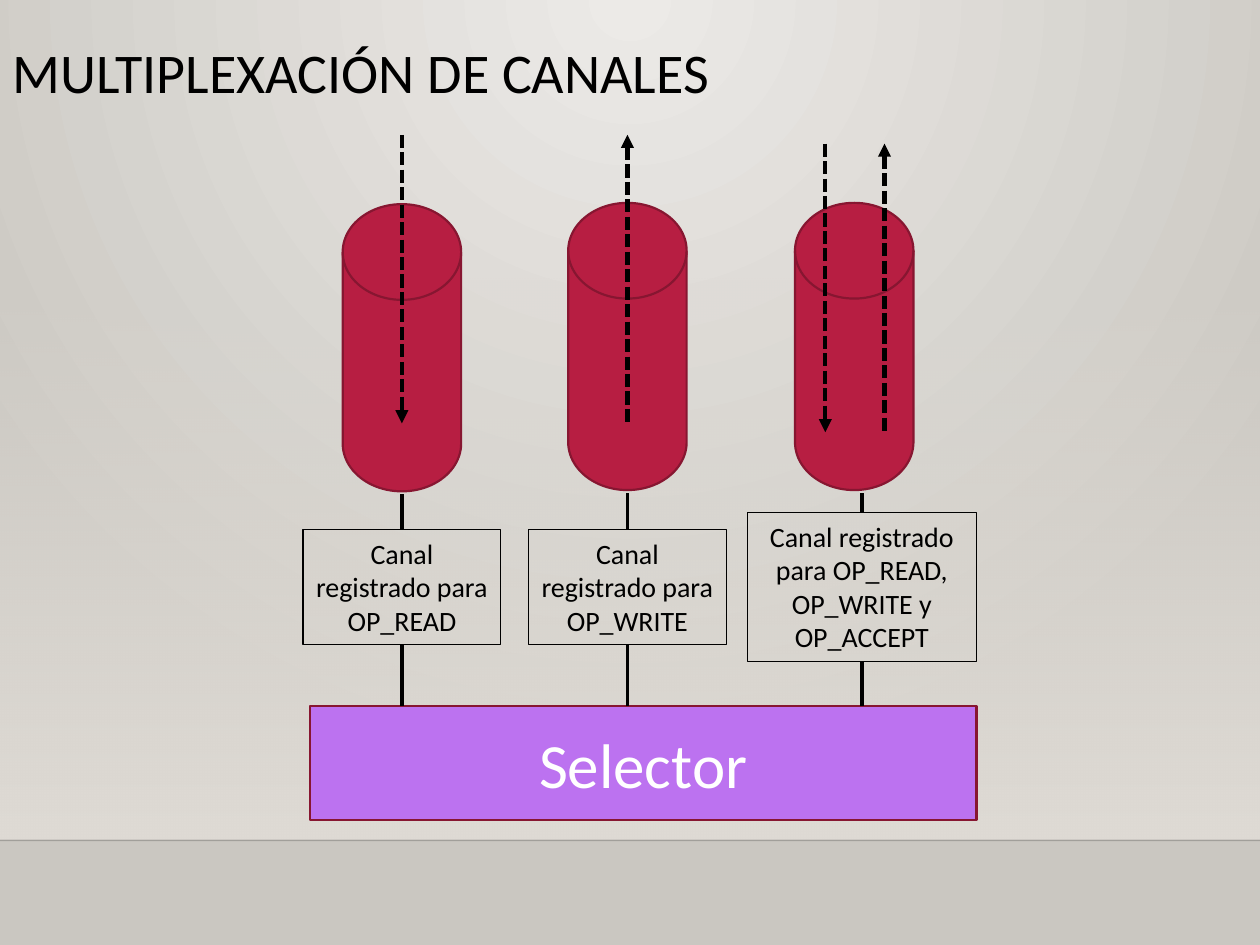
import pptx
import pptx.util
import pptx.dml.color
import pptx.enum.dml
import pptx.enum.shapes
import pptx.enum.text
import pptx.oxml
import pptx.oxml.ns
import pptx.oxml.xmlchemy

# Content
TITLE = "MULTIPLEXACIÓN DE CANALES"
SELECTOR = "Selector"
# cylinder centre and top, label centre and size, arrow top,
# arrows as (offset from the cylinder centre, end that carries the head)
CHANNELS = [
    dict(text="Canal registrado para OP_READ", centre=3.19, top=1.62,
         label=(3.19, 1.57, 0.91), arrow_top=1.07, arrows=[(0, "tailEnd")]),
    dict(text="Canal registrado para OP_WRITE", centre=4.98, top=1.61,
         label=(4.98, 1.57, 0.91), arrow_top=1.07, arrows=[(0, "headEnd")]),
    dict(text="Canal registrado para OP_READ, OP_WRITE y OP_ACCEPT", centre=6.78,
         top=1.61, label=(6.84, 1.82, 1.18), arrow_top=1.14,
         arrows=[(-0.23, "tailEnd"), (0.24, "headEnd")]),
]

# Layout, in inches
WIDTH, HEIGHT = 10, 7.5
FLOOR = 6.67
CYLINDER = (0.94, 2.28)
ARROW_LENGTH = 2.29
LABEL_MIDDLE = 4.66
SELECTOR_BOX = (2.46, 5.6, 5.29, 0.91)

BLACK, WHITE, RED, DARK_RED, PURPLE = "000000", "FFFFFF", "B71E42", "871631", "BC72F0"
SHAPES = pptx.enum.shapes.MSO_SHAPE
inches = pptx.util.Inches
qn = pptx.oxml.ns.qn
new_element = pptx.oxml.xmlchemy.OxmlElement

deck = pptx.Presentation()
deck.slide_width, deck.slide_height = inches(WIDTH), inches(HEIGHT)
page = deck.slides.add_slide(deck.slide_layouts[6])


def color(value):
    return pptx.dml.color.RGBColor.from_string(value)


def set_gradient(parent, stops, shade):
    """Replace the solid fill of parent with (position, colour, opacity) stops."""
    stop_xml = "".join(
        f'<a:gs pos="{position * 1000}"><a:srgbClr val="{value}">'
        f'<a:alpha val="{opacity * 1000}"/></a:srgbClr></a:gs>'
        for position, value, opacity in stops)
    gradient = pptx.oxml.parse_xml(
        f'<a:gradFill {pptx.oxml.ns.nsdecls("a")} rotWithShape="1">'
        f'<a:gsLst>{stop_xml}</a:gsLst>{shade}</a:gradFill>')
    parent.replace(parent.find(qn("a:solidFill")), gradient)


def add_box(kind, left, top, width, height, fill=None, line=None, weight=1.25):
    box = page.shapes.add_shape(kind, *map(inches, (left, top, width, height)))
    box.shadow.inherit = False
    if fill:
        box.fill.solid()
        box.fill.fore_color.rgb = color(fill)
    else:
        box.fill.background()
    if line:
        box.line.color.rgb = color(line)
        box.line.width = pptx.util.Pt(weight)
    else:
        box.line.fill.background()
    return box


def write(box, text, size, value, align, anchor):
    frame = box.text_frame
    frame.word_wrap = True
    frame.vertical_anchor = anchor
    para = frame.paragraphs[0]
    para.text = text
    para.alignment = align
    para.font.name = "Calibri"
    para.font.size = pptx.util.Pt(size)
    para.font.color.rgb = color(value)
    return para


def add_line(x1, y1, x2, y2, weight=2.0, value=BLACK):
    line = page.shapes.add_connector(pptx.enum.shapes.MSO_CONNECTOR.STRAIGHT,
                                     *map(inches, (x1, y1, x2, y2)))
    line.line.color.rgb = color(value)
    line.line.width = pptx.util.Pt(weight)
    line._element.spPr.append(new_element("a:effectLst"))
    return line


def add_arrow(x, top, end):
    arrow = add_line(x, top, x, top + ARROW_LENGTH, 2.5)
    arrow.line.dash_style = pptx.enum.dml.MSO_LINE.SQUARE_DOT
    head = new_element(f"a:{end}")
    head.set("type", "triangle")
    arrow._element.spPr.find(qn("a:ln")).append(head)


# Background, wall and floor line
page.background.fill.solid()
set_gradient(page._element.find(".//" + qn("p:bgPr")),
             [(0, "ECEAE7", 100), (100, "CAC7C1", 100)],
             '<a:path path="circle"><a:fillToRect l="43000" r="43000" b="100000"/></a:path>')
wall = add_box(SHAPES.RECTANGLE, 0, 2.2, WIDTH, 4.46, WHITE)
set_gradient(wall._element.spPr, [(0, "DFDBD5", 0), (100, "DFDBD5", 100)],
             '<a:lin ang="5400000" scaled="0"/>')
floor = add_line(0, FLOOR, WIDTH, FLOOR, 1, "000001")
alpha = new_element("a:alpha")
alpha.set("val", "20000")
floor._element.spPr.find(".//" + qn("a:srgbClr")).append(alpha)

# Title
ALIGN, ANCHOR = pptx.enum.text.PP_ALIGN, pptx.enum.text.MSO_ANCHOR
title = page.shapes.add_textbox(*map(inches, (0, 0.31, 6.6, 0.75)))
write(title, TITLE, 32, BLACK, ALIGN.LEFT, ANCHOR.TOP).line_spacing = 0.9

# Selector
selector = add_box(SHAPES.RECTANGLE, *SELECTOR_BOX, PURPLE, DARK_RED)
write(selector, SELECTOR, 36, WHITE, ALIGN.CENTER, ANCHOR.MIDDLE)

# Channels: cylinder, arrows, label and the lines that join them
for channel in CHANNELS:
    width, height = CYLINDER
    add_box(SHAPES.FLOWCHART_MAGNETIC_DISK, channel["centre"] - width / 2,
            channel["top"], width, height, RED, DARK_RED)
    for offset, end in channel["arrows"]:
        add_arrow(channel["centre"] + offset, channel["arrow_top"], end)

    x, label_width, label_height = channel["label"]
    label_top = LABEL_MIDDLE - label_height / 2
    label = add_box(SHAPES.RECTANGLE, x - label_width / 2, label_top,
                    label_width, label_height, line=BLACK, weight=0.75)
    write(label, channel["text"], 16, BLACK, ALIGN.CENTER, ANCHOR.TOP)
    upper = add_line(x, label_top, x, channel["top"] + height + 0.02)
    upper.begin_connect(label, 0)
    lower = add_line(x, label_top + label_height, x, SELECTOR_BOX[1])
    lower.begin_connect(label, 2)

deck.save("out.pptx")
